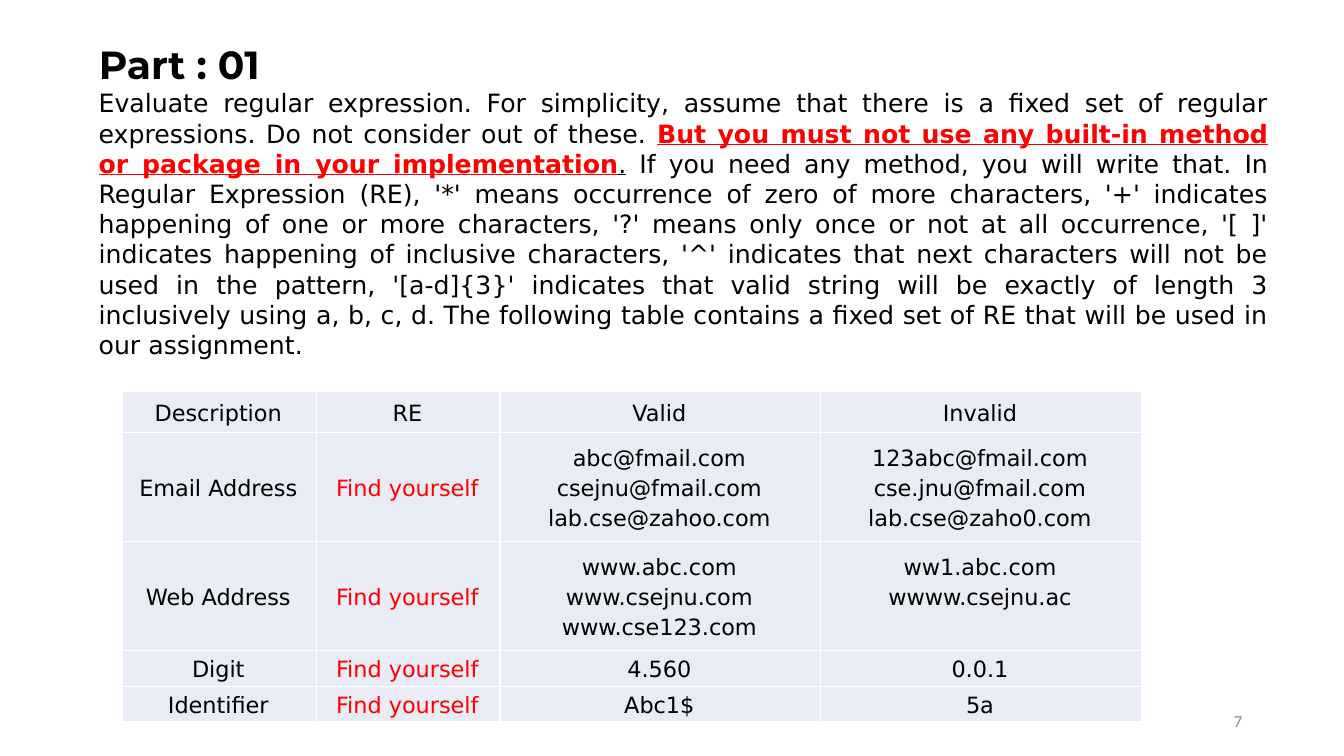
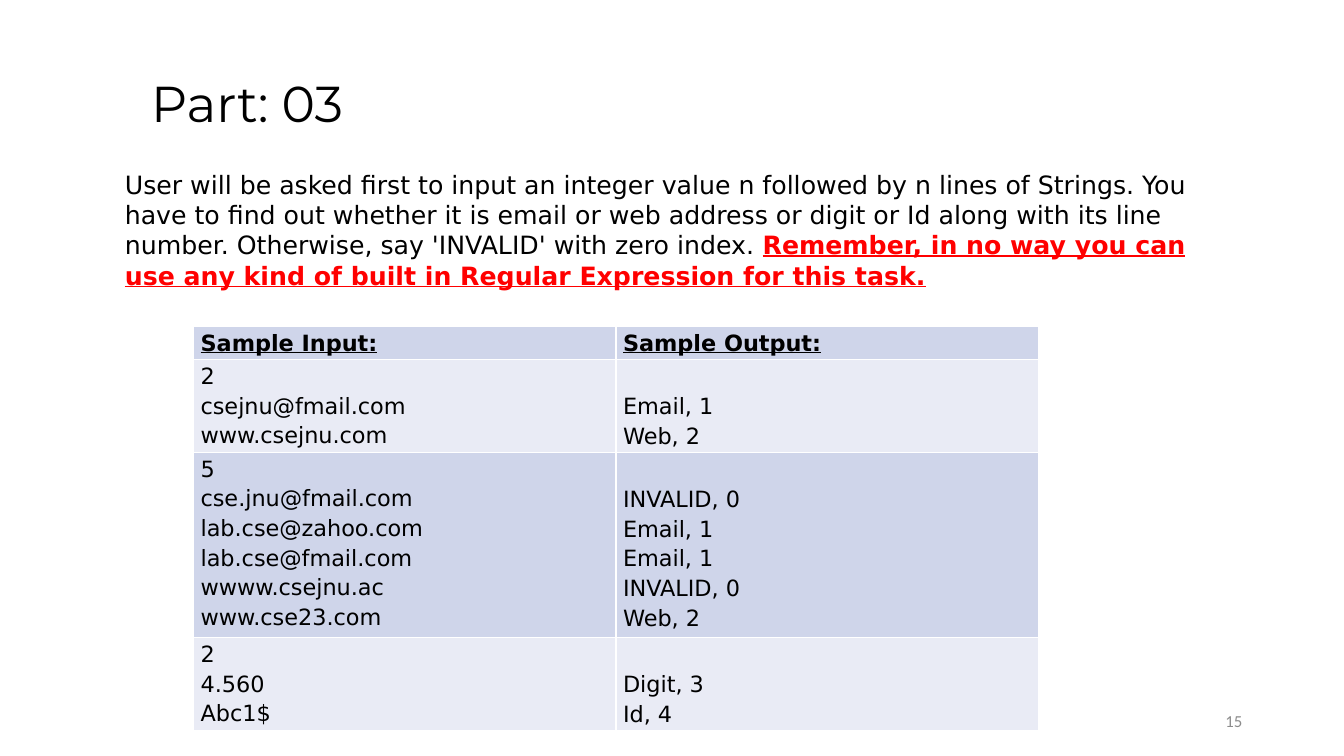
from pptx import Presentation
from pptx import util as u
from pptx.dml.color import RGBColor
from pptx.enum import text

PX = 9144  # EMU in one px, 100 px to the inch
COLORS = {
    "ink": "000000",
    "alert": "FF0000",
    "page_number": "8C8C8C",
    "light_row": "E9EBF5",
    "dark_row": "CFD5EA",
}
TITLE_FONT, BODY_FONT, NUMBER_FONT = "Montserrat", "DejaVu Sans", "Calibri"
LEFT, CENTER = text.PP_ALIGN.LEFT, text.PP_ALIGN.CENTER
RIGHT, JUSTIFY = text.PP_ALIGN.RIGHT, text.PP_ALIGN.JUSTIFY
TOP, MIDDLE = text.MSO_ANCHOR.TOP, text.MSO_ANCHOR.MIDDLE
NUMBER_BOX = (942, 695, 300, 40)
LINE = 30  # height of one table line
FIND = "Find yourself"

RULES_TEXT = [
    ("Evaluate regular expression. For simplicity, assume that there is a fixed set of "
     "regular expressions. Do not consider out of these. ", {}),
    ("But you must not use any built-in method or package in your implementation",
     {"color": "alert", "bold": True, "underline": True}),
    (".", {"underline": True}),
    (" If you need any method, you will write that. In Regular Expression (RE), '*' means "
     "occurrence of zero of more characters, '+' indicates happening of one or more "
     "characters, '?' means only once or not at all occurrence, '[ ]' indicates happening "
     "of inclusive characters, '^' indicates that next characters will not be used in the "
     "pattern, '[a-d]{3}' indicates that valid string will be exactly of length 3 "
     "inclusively using a, b, c, d. The following table contains a fixed set of RE that "
     "will be used in our assignment.", {}),
]
TASK_TEXT = [
    ("User will be asked first to input an integer value n followed by n lines of Strings. "
     "You have to find out whether it is email or web address or digit or Id along with "
     "its line number. Otherwise, say 'INVALID' with zero index. ", {}),
    ("Remember, in no way you can use any kind of built in Regular Expression for this task.",
     {"color": "alert", "bold": True, "underline": True}),
]
PATTERNS = [
    ["Description", "RE", "Valid", "Invalid"],
    ["Email Address", FIND,
     "abc@fmail.com\ncsejnu@fmail.com\nlab.cse@zahoo.com",
     "123abc@fmail.com\ncse.jnu@fmail.com\nlab.cse@zaho0.com"],
    ["Web Address", FIND,
     "www.abc.com\nwww.csejnu.com\nwww.cse123.com", "ww1.abc.com\nwwww.csejnu.ac"],
    ["Digit", FIND, "4.560", "0.0.1"],
    ["Identifier", FIND, "Abc1$", "5a"],
]
SAMPLES = [
    ["Sample Input:", "Sample Output:"],
    ["2\ncsejnu@fmail.com\nwww.csejnu.com", "Email, 1\nWeb, 2"],
    ["5\ncse.jnu@fmail.com\nlab.cse@zahoo.com\nlab.cse@fmail.com\nwwww.csejnu.ac\nwww.cse23.com",
     "INVALID, 0\nEmail, 1\nEmail, 1\nINVALID, 0\nWeb, 2"],
    ["2\n4.560\nAbc1$", "Digit, 3\nId, 4"],
]


def px(length):
    return u.Emu(length * PX)


def style(font, name=None, size=None, color=None, bold=None, underline=None):
    """Set the given font properties and leave the others inherited."""
    if name:
        font.name = name
    if size:
        font.size = u.Pt(size)
    if color:
        font.color.rgb = RGBColor.from_string(COLORS[color])
    if bold is not None:
        font.bold = bold
    if underline is not None:
        font.underline = underline


def add_title(slide, box, wording, size, bold):
    title = slide.shapes.title
    title.left, title.top, title.width, title.height = map(px, box)
    frame = title.text_frame
    frame.text = wording
    frame.auto_size = text.MSO_AUTO_SIZE.NONE
    frame.vertical_anchor = TOP
    line = frame.paragraphs[0]
    line.alignment = LEFT
    style(line.font, TITLE_FONT, size, "ink", bold)


def add_text(slide, box, runs, align, font, size, color, anchor=TOP):
    """Add one wrapped paragraph made of (wording, font changes) runs."""
    frame = slide.shapes.add_textbox(*map(px, box)).text_frame
    frame.word_wrap = True
    frame.vertical_anchor = anchor
    paragraph = frame.paragraphs[0]
    paragraph.alignment = align
    style(paragraph.font, font, size, color)
    for wording, changes in runs:
        run = paragraph.add_run()
        run.text = wording
        style(run.font, **changes)


def add_grid(slide, left, top, widths, heights, rows):
    """Add a table without banding and return its cells by row and column."""
    box = (left, top, sum(widths), sum(heights))
    table = slide.shapes.add_table(len(rows), len(widths), *map(px, box)).table
    table.first_row = table.horz_banding = False
    for column, width in zip(table.columns, widths):
        column.width = px(width)
    for row, height in zip(table.rows, heights):
        row.height = px(height)
    return [[(table.cell(r, c), wording) for c, wording in enumerate(row)]
            for r, row in enumerate(rows)]


def fill_cell(cell, wording, fill, align, anchor, margins, **font):
    cell.fill.solid()
    cell.fill.fore_color.rgb = RGBColor.from_string(COLORS[fill])
    cell.vertical_anchor = anchor
    (cell.margin_left, cell.margin_top,
     cell.margin_right, cell.margin_bottom) = map(px, margins)
    cell.text_frame.text = wording
    for paragraph in cell.text_frame.paragraphs:
        paragraph.alignment = align
        paragraph.line_spacing = 1.15
        style(paragraph.font, BODY_FONT, 16, **font)


def add_pattern_table(slide, left, top):
    grid = add_grid(slide, left, top, [193, 182, 318, 318], [41, 108, 108, 36, 35], PATTERNS)
    for row in grid:
        most_lines = max(wording.count("\n") for _, wording in row)
        for column, (cell, wording) in enumerate(row):
            # a shorter list starts level with the longest one in its row
            missing = most_lines - wording.count("\n") if column > 1 else 0
            fill_cell(cell, wording, "light_row", CENTER, MIDDLE, (5, 0, 7, missing * LINE),
                      color="alert" if wording == FIND else "ink")


def add_sample_table(slide, left, top):
    grid = add_grid(slide, left, top, [419, 419], [33, 88, 172, 85], SAMPLES)
    for index, row in enumerate(grid):
        heading = index == 0
        for column, (cell, wording) in enumerate(row):
            # results start beside the first string, below the count
            drop = 0 if heading else column * LINE
            fill_cell(cell, wording, "light_row" if index % 2 else "dark_row", JUSTIFY, TOP,
                      (7, drop, 7, 0), color="ink", bold=heading, underline=heading)


def add_page(deck, number, title_box, title, size, bold, body_box, body, align):
    """Add a slide with its title, body paragraph and page number."""
    slide = deck.slides.add_slide(deck.slide_layouts.get_by_name("Title Only"))
    add_title(slide, title_box, title, size, bold)
    add_text(slide, body_box, body, align, BODY_FONT, 18, "ink")
    add_text(slide, NUMBER_BOX, [(str(number), {})], RIGHT, NUMBER_FONT, 12,
             "page_number", MIDDLE)
    return slide


def main():
    deck = Presentation()
    deck.slide_width, deck.slide_height = px(1333), px(750)
    rules = add_page(deck, 7, (88, 35, 284, 57), "Part : 01", 28, True,
                     (88, 82, 1180, 283), RULES_TEXT, JUSTIFY)
    add_pattern_table(rules, 121, 388)
    task = add_page(deck, 15, (140, 67, 558, 71), "Part: 03", 36, False,
                    (114, 163, 1117, 162), TASK_TEXT, LEFT)
    add_sample_table(task, 192, 324)
    deck.save("out.pptx")


if __name__ == "__main__":
    main()
